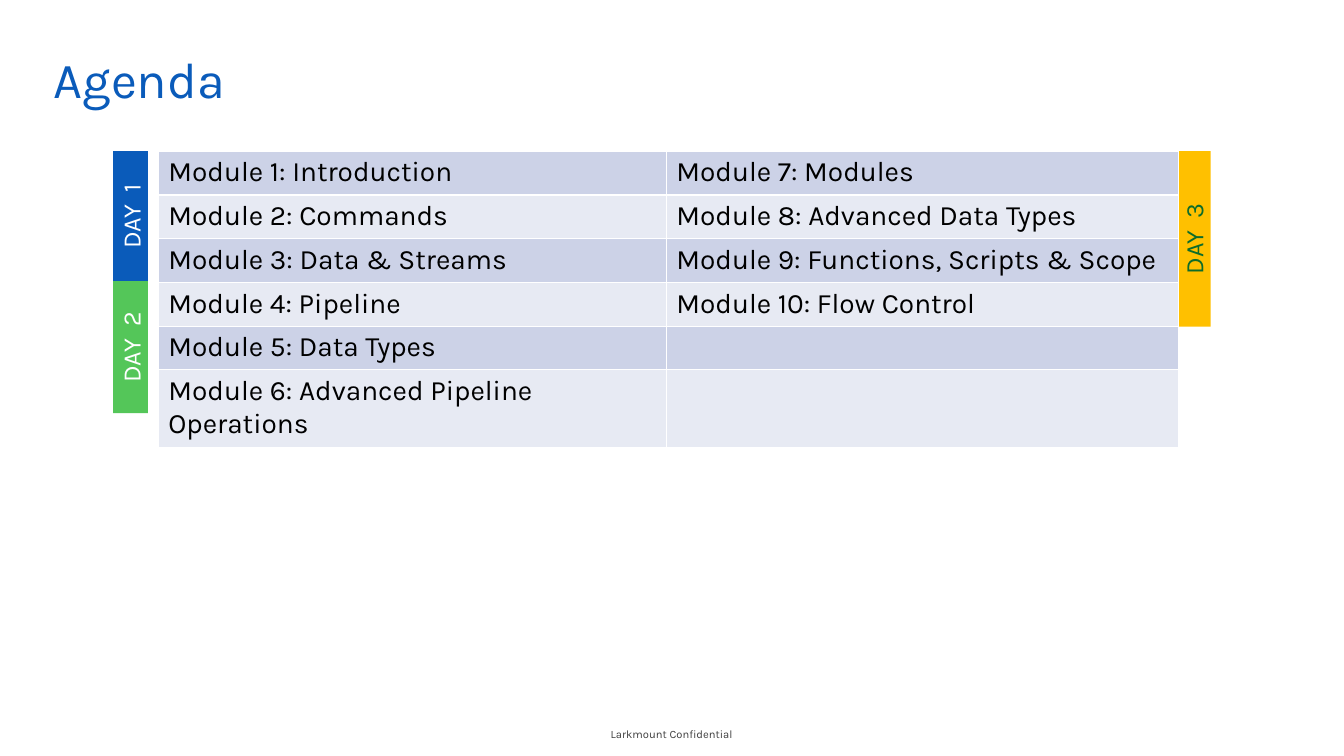
import dataclasses
import pptx
import pptx.dml.color
import pptx.enum.shapes
import pptx.enum.text
import pptx.oxml
import pptx.oxml.ns
import pptx.util

ALIGN = pptx.enum.text.PP_ALIGN
ANCHOR = pptx.enum.text.MSO_ANCHOR


@dataclasses.dataclass(frozen=True)
class Theme:
    font: str = "Karla"
    blue: str = "0A5BBA"
    green: str = "54C659"
    amber: str = "FFC000"
    forest: str = "0D6C2A"
    white: str = "FFFFFF"
    black: str = "000000"
    grey: str = "3F3F3F"
    bands: tuple = ("CCD2E7", "E7EAF3")
    title: int = 36
    body: int = 20
    label: int = 18
    footer: int = 8
    rule: int = 1
    word_gap: float = 4.5


def rgb(color):
    return pptx.dml.color.RGBColor.from_string(color)


def write(para, text, *, font, size, color, align=ALIGN.LEFT, gap=0):
    para.alignment = align
    pieces = text.partition(" ") if gap else (text,)
    for piece in pieces:
        span = para.add_run()
        span.text = piece
        span.font.name = font
        span.font.size = pptx.util.Pt(size)
        span.font.color.rgb = rgb(color)
        if gap and piece == " ":
            span.font._element.set("spc", str(round(gap * 100)))


class Page:
    columns, rows = 40, 30

    def __init__(self, deck, theme):
        self.theme = theme
        self.column = deck.slide_width / self.columns
        self.row = deck.slide_height / self.rows
        self.slide = deck.slides.add_slide(deck.slide_layouts[6])

    def across(self, count):
        return round(count * self.column)

    def down(self, count):
        return round(count * self.row)

    def area(self, left, top, width, height):
        return self.across(left), self.down(top), self.across(width), self.down(height)

    def text(self, text, area, insets, anchor=ANCHOR.TOP, **style):
        frame = self.slide.shapes.add_textbox(*self.area(*area)).text_frame
        frame.word_wrap = True
        frame.vertical_anchor = anchor
        frame.margin_left, frame.margin_top, frame.margin_right, frame.margin_bottom = map(
            pptx.util.Inches, insets)
        write(frame.paragraphs[0], text, font=self.theme.font, **style)

    def day_bar(self, text, area, fill, color):
        box = self.slide.shapes.add_shape(
            pptx.enum.shapes.MSO_SHAPE.RECTANGLE, *self.area(*area))
        box.shadow.inherit = False
        box.fill.solid()
        box.fill.fore_color.rgb = rgb(fill)
        box.line.fill.background()
        frame = box.text_frame
        frame.vertical_anchor = ANCHOR.MIDDLE
        frame._txBody.bodyPr.set("vert", "vert270")
        write(frame.paragraphs[0], text, font=self.theme.font, size=self.theme.label,
              color=color, align=ALIGN.CENTER, gap=self.theme.word_gap)

    def borders(self, cell):
        properties = cell._tc.get_or_add_tcPr()
        for index, side in enumerate(("lnL", "lnR", "lnT", "lnB")):
            properties.insert(index, pptx.oxml.parse_xml(
                f'<a:{side} {pptx.oxml.ns.nsdecls("a")} w="{pptx.util.Pt(self.theme.rule)}">'
                f'<a:solidFill><a:srgbClr val="{self.theme.white}"/></a:solidFill></a:{side}>'))

    def table(self, lists, left, top, widths, row_height):
        count = max(map(len, lists))
        area = self.area(left, top, sum(widths), count * row_height)
        table = self.slide.shapes.add_table(count, len(lists), *area).table
        table.first_row = table.horz_banding = False
        for row in table.rows:
            row.height = self.down(row_height)
        for column, (names, width) in enumerate(zip(lists, widths)):
            table.columns[column].width = self.across(width)
            for row in range(count):
                cell = table.cell(row, column)
                cell.fill.solid()
                cell.fill.fore_color.rgb = rgb(self.theme.bands[row % 2])
                self.borders(cell)
                if row < len(names):
                    write(cell.text_frame.paragraphs[0], names[row], font=self.theme.font,
                          size=self.theme.body, color=self.theme.black)


deck = pptx.Presentation()
deck.slide_width = pptx.util.Inches(13.33)
deck.slide_height = pptx.util.Inches(7.5)
theme = Theme()
page = Page(deck, theme)

page.text("Larkmount Confidential", (15.33, 28.32, 9.33, 1.6), (0.2, 0.05, 0.2, 0.05),
          anchor=ANCHOR.MIDDLE, size=theme.footer, color=theme.grey, align=ALIGN.CENTER)
page.text("Agenda", (1, 1.32, 37, 3), (0.2, 0.15, 0.1, 0.05),
          size=theme.title, color=theme.blue)

agenda_top, day_one, day_two, day_three = 6, 5.16, 5.24, 6.96
bar_left, bar_width = 3.37, 1.03
page.day_bar("DAY 1", (bar_left, agenda_top, bar_width, day_one), theme.blue, theme.white)
page.day_bar("DAY 2", (bar_left, agenda_top + day_one, bar_width, day_two),
             theme.green, theme.white)
page.day_bar("DAY 3", (35, agenda_top, bar_width, day_three), theme.amber, theme.forest)

topics = ["Introduction", "Commands", "Data & Streams", "Pipeline", "Data Types",
          "Advanced Pipeline Operations", "Modules", "Advanced Data Types",
          "Functions, Scripts & Scope", "Flow Control"]
modules = [f"Module {number}: {topic}" for number, topic in enumerate(topics, 1)]
page.table([modules[:6], modules[6:]], 4.71, agenda_top, (15.12, 15.24), 1.64)

deck.save("out.pptx")
